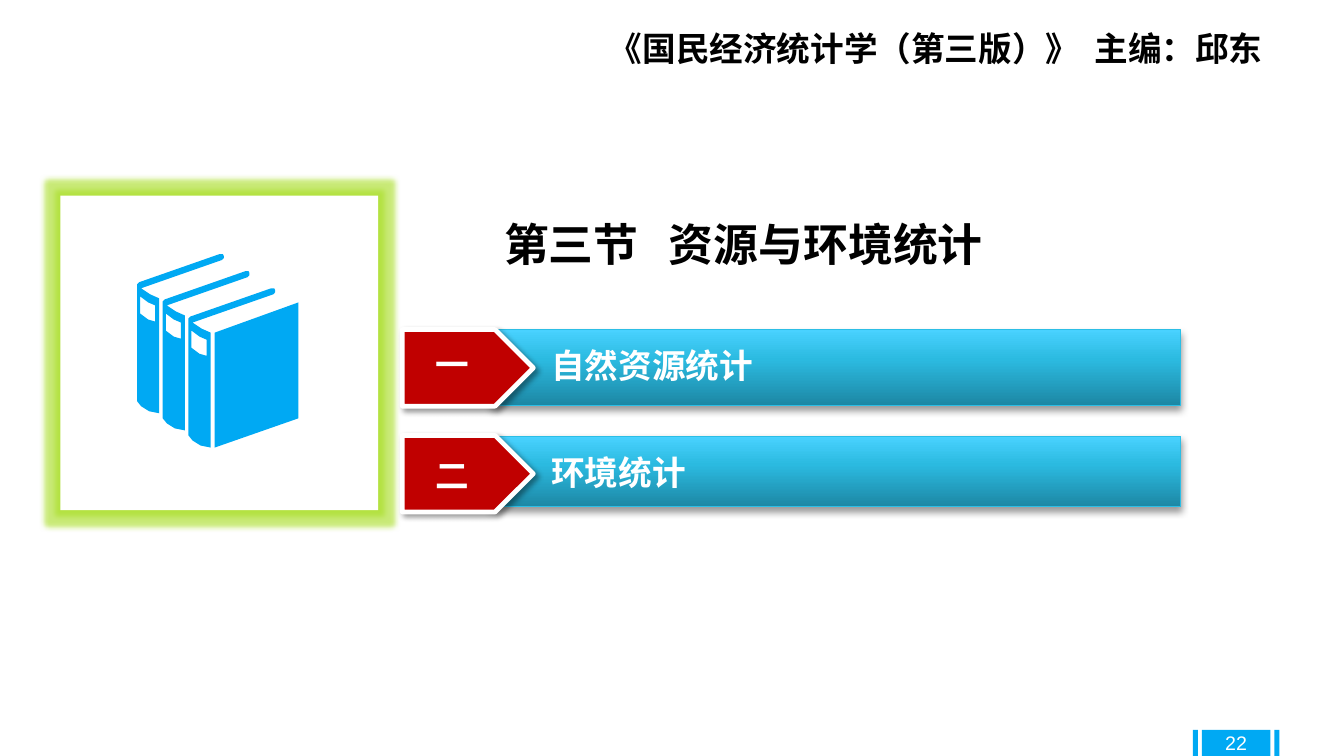
from dataclasses import dataclass

from lxml import etree
from pptx import Presentation
from pptx.dml.color import RGBColor
from pptx.enum.shapes import MSO_SHAPE
from pptx.enum.text import MSO_ANCHOR, PP_ALIGN
from pptx.oxml.ns import qn
from pptx.util import Emu, Pt

RECT, PENTAGON = MSO_SHAPE.RECTANGLE, MSO_SHAPE.PENTAGON
LEFT, CENTER = PP_ALIGN.LEFT, PP_ALIGN.CENTER
TOP, MIDDLE = MSO_ANCHOR.TOP, MSO_ANCHOR.MIDDLE

EMU_PER_PX = 9144
CJK, LATIN = "Noto Sans CJK SC", "Arial"
BLACK, WHITE, BLUE, RED = "000000", "FFFFFF", "00A9F3", "C00000"
BAR_EDGE, GLOW = "2CBEE5", "A6DD1F"
BAR_STOPS = ((0, "1D87A4"), (60, "2BBAE0"), (100, "49D2FF"))

SPINE = ((138, 280), (218, 252), (221, 252), (222, 254), (222, 256),
         (220, 258), (140, 286), (149, 292), (158, 296), (158, 410),
         (148, 408), (140, 403), (136, 398), (136, 282))
SPINE_LABEL = ((154, 303), (154, 319), (147, 317), (139, 311),
               (139, 294), (147, 300))
COVER = ((213, 330), (213, 444), (296, 415), (296, 300))
BOOKS, BOOK_DX, BOOK_DY = 3, 25.5, 17


@dataclass(frozen=True)
class Box:
    x: int
    y: int
    w: int
    h: int


@dataclass(frozen=True)
class Topic:
    number: str
    title: str
    bar: Box
    arrow: Box
    number_box: Box
    title_box: Box


TOPICS = (
    Topic("一", "自然资源统计", Box(487, 327, 684, 75), Box(399, 327, 130, 76),
          Box(422, 336, 54, 50), Box(537, 337, 225, 50)),
    Topic("二", "环境统计", Box(487, 433, 684, 70), Box(399, 432, 130, 76),
          Box(422, 446, 54, 50), Box(537, 443, 158, 50)),
)
PAGE_BARS = (Box(1192, 724, 68, 26), Box(1264, 724, 5, 26),
             Box(1183, 724, 5, 26))


def emu(px: float) -> Emu:
    return Emu(round(px * EMU_PER_PX))


def place(box: Box) -> tuple[Emu, ...]:
    return tuple(emu(v) for v in (box.x, box.y, box.w, box.h))


def rgb(color: str) -> RGBColor:
    return RGBColor.from_string(color)


def add_child(parent, tag: str, **attrs: object):
    values = {k: str(v) for k, v in attrs.items()}
    return etree.SubElement(parent, qn(tag), values)


def add_box(slide, box: Box, fill: str = "", kind=RECT,
            line: str = "", width: float = 0):
    sp = slide.shapes.add_shape(kind, *place(box))
    sp.shadow.inherit = False
    if fill:
        sp.fill.solid()
        sp.fill.fore_color.rgb = rgb(fill)
    if line:
        sp.line.color.rgb = rgb(line)
        sp.line.width = Pt(width)
    else:
        sp.line.fill.background()
    return sp


def add_effect(sp, tag: str, color: str, alpha: int, **attrs: object) -> None:
    effects = sp._element.spPr.find(qn("a:effectLst"))
    clr = add_child(add_child(effects, tag, **attrs), "a:srgbClr", val=color)
    add_child(clr, "a:alpha", val=alpha * 1000)


def add_shadow(sp, blur: float, direction: int) -> None:
    add_effect(sp, "a:outerShdw", BLACK, 40, blurRad=Pt(blur), dist=Pt(3),
               dir=direction * 60000, algn="ctr", rotWithShape=0)


def fill_gradient(sp, stops: tuple[tuple[int, str], ...], angle: int) -> None:
    sp.fill.gradient()
    sp.fill.gradient_angle = 360 - angle
    gs_list = sp._element.spPr.find(qn("a:gradFill")).find(qn("a:gsLst"))
    for gs in list(gs_list):
        gs_list.remove(gs)
    for pos, color in stops:
        gs = add_child(gs_list, "a:gs", pos=pos * 1000)
        add_child(gs, "a:srgbClr", val=color)


def add_text(slide, box: Box, *parts: str, size: int = 24, color: str = WHITE,
             font: str = CJK, bold: bool = True, align=LEFT, anchor=TOP,
             gap: float = 0, margin: int = 10) -> None:
    tf = slide.shapes.add_textbox(*place(box)).text_frame
    tf.word_wrap = True
    tf.vertical_anchor = anchor
    tf.margin_left = tf.margin_right = emu(margin)
    tf.margin_top = tf.margin_bottom = emu(margin // 2)
    p = tf.paragraphs[0]
    p.alignment = align
    for i, part in enumerate(parts):
        for text in ((" ", part) if i else (part,)):
            r = p.add_run()
            r.text = text
            r.font.size, r.font.bold, r.font.name = Pt(size), bold, font
            r.font.color.rgb = rgb(color)
            add_child(r.font._element, "a:ea", typeface=font)
            if text == " ":
                r.font._element.set("spc", str(round(gap * 100)))


def add_books(slide) -> None:
    contours = [COVER]
    for i in range(BOOKS):
        for outline in (SPINE, SPINE_LABEL):
            contours.append(tuple((x + i * BOOK_DX, y + i * BOOK_DY)
                                  for x, y in outline))
    points = [[(emu(x), emu(y)) for x, y in c] for c in contours]
    builder = slide.shapes.build_freeform(*points[0][0])
    builder.add_line_segments(points[0][1:])
    for contour in points[1:]:
        builder.move_to(*contour[0])
        builder.add_line_segments(contour[1:])
    sp = builder.convert_to_shape()
    sp.shadow.inherit = False
    sp.fill.solid()
    sp.fill.fore_color.rgb = rgb(BLUE)
    sp.line.fill.background()


def add_topic(slide, topic: Topic) -> None:
    bar = add_box(slide, topic.bar, line=BAR_EDGE, width=0.75)
    fill_gradient(bar, BAR_STOPS, 270)
    add_shadow(bar, 5.2, 90)
    arrow = add_box(slide, topic.arrow, RED, PENTAGON, WHITE, 3.35)
    add_shadow(arrow, 4, 45)
    add_text(slide, topic.number_box, topic.number)
    add_text(slide, topic.title_box, topic.title)


def main() -> None:
    prs = Presentation()
    prs.slide_width, prs.slide_height = emu(1333), emu(750)
    slide = prs.slides.add_slide(prs.slide_layouts[6])
    for box in PAGE_BARS:
        add_box(slide, box, BLUE)
    frame = add_box(slide, Box(60, 194, 315, 312), WHITE)
    add_effect(frame, "a:glow", GLOW, 60, rad=Pt(8))
    add_books(slide)
    add_text(slide, Box(399, 210, 677, 64), "第三节", "资源与环境统计",
             size=32, color=BLACK, align=CENTER, gap=14.3)
    for topic in TOPICS:
        add_topic(slide, topic)
    add_text(slide, PAGE_BARS[0], "22", size=14, font=LATIN, bold=False,
             align=CENTER, anchor=MIDDLE, margin=0)
    add_text(slide, Box(594, 23, 723, 51), "《国民经济统计学（第三版）》",
             "主编：邱东", color=BLACK, gap=5.4)
    prs.save("out.pptx")


if __name__ == "__main__":
    main()
